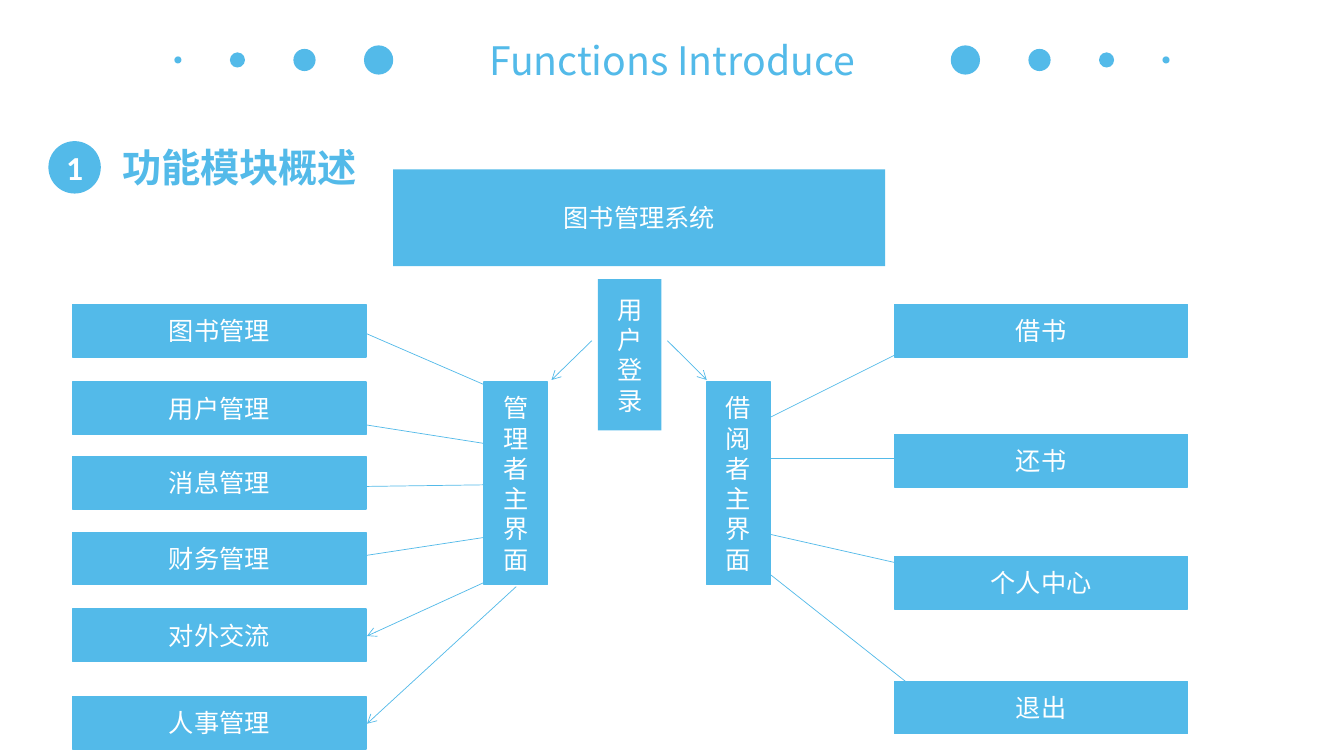
import pptx
import pptx.util
import pptx.dml.color
import pptx.enum.shapes
import pptx.enum.text
import pptx.oxml
import pptx.oxml.ns

Inches = pptx.util.Inches
Pt = pptx.util.Pt
MSO_SHAPE = pptx.enum.shapes.MSO_SHAPE

SKY = "53BAE9"
WHITE = "FFFFFF"
SANS = "Noto Sans CJK SC"
SLIDE_WIDTH = 13.33
BUTTON_SIZE = (2.91, 0.52)
PANEL_SIZE = (0.63, 2.01)

DOTS = [(3.755, 0.29), (3.02, 0.22), (2.355, 0.15), (1.765, 0.07)]
DOT_MIDDLE = 0.595

ADMIN_LEFT = 0.72
ADMIN_MENU = [
    ("图书管理", 3.02),
    ("用户管理", 3.79),
    ("消息管理", 4.53),
    ("财务管理", 5.28),
    ("对外交流", 6.04),
    ("人事管理", 6.91),
]
READER_LEFT = 8.87
READER_MENU = [("借书", 3.02), ("还书", 4.31), ("个人中心", 5.52), ("退出", 6.76)]

ARROWS = [
    ((5.87, 3.38), (5.47, 3.77)),
    ((6.62, 3.38), (7.01, 3.77)),
    ((4.88, 3.85), (3.45, 3.23)),
    ((4.87, 4.41), (3.47, 4.19)),
    ((4.8, 4.81), (3.32, 4.83)),
    ((4.88, 5.32), (3.5, 5.53)),
    ((4.93, 5.72), (3.64, 6.31)),
    ((5.12, 5.82), (3.64, 7.18)),
    ((7.6, 4.16), (9.16, 3.38)),
    ((7.44, 4.55), (9.38, 4.55)),
    ((7.59, 5.29), (9.8, 5.79)),
    ((7.59, 5.66), (9.36, 7.06)),
]


def rgb(value):
    return pptx.dml.color.RGBColor.from_string(value)


def lengths(*values):
    return [Inches(value) for value in values]


def write(owner, lines, size=18, color=WHITE, font=SANS, bold=False, wrap=True):
    frame = owner.text_frame
    frame.word_wrap = wrap
    frame.vertical_anchor = pptx.enum.text.MSO_ANCHOR.MIDDLE
    look = {"size": Pt(size), "name": font, "bold": bold}
    for index, line in enumerate(lines):
        paragraph = frame.add_paragraph() if index else frame.paragraphs[0]
        paragraph.alignment = pptx.enum.text.PP_ALIGN.CENTER
        run = paragraph.add_run()
        run.text = line
        for key, value in look.items():
            setattr(run.font, key, value)
        run.font.color.rgb = rgb(color)
        east_asian = pptx.oxml.ns.qn("a:ea")
        run._r.get_or_add_rPr().makeelement(east_asian)
        pptx.oxml.parse_xml
        latin = run._r.rPr.find(pptx.oxml.ns.qn("a:latin"))
        latin.addnext(latin.makeelement(east_asian, {"typeface": font}))


def add_block(shapes, kind, box, outlined=False):
    block = shapes.add_shape(kind, *lengths(*box))
    block.shadow.inherit = False
    block.fill.solid()
    block.fill.fore_color.rgb = rgb(SKY)
    if outlined:
        block.line.color.rgb = rgb(SKY)
        block.line.width = Pt(1)
    else:
        block.line.fill.background()
    return block


def add_dots(slide, mirrored):
    row = slide.shapes.add_group_shape()
    for center, size in DOTS:
        x = SLIDE_WIDTH - center if mirrored else center
        box = (x - size / 2, DOT_MIDDLE - size / 2, size, size)
        add_block(row.shapes, MSO_SHAPE.OVAL, box)


def add_label(slide, text, box, **look):
    label = slide.shapes.add_textbox(*lengths(*box))
    write(label, [text], size=28, color=SKY, wrap=False, **look)


def add_module(slide, lines, box, outlined=True):
    write(add_block(slide.shapes, MSO_SHAPE.RECTANGLE, box, outlined), lines)


def add_menu(slide, left, entries):
    for text, top in entries:
        add_module(slide, [text], (left, top, *BUTTON_SIZE))


def add_arrow(slide, start, end):
    arrow = slide.shapes.add_connector(
        pptx.enum.shapes.MSO_CONNECTOR.STRAIGHT, *lengths(*start, *end))
    arrow.line.color.rgb = rgb(SKY)
    arrow.line.width = Pt(0.5)
    outline = arrow.line._get_or_add_ln()
    outline.append(outline.makeelement(pptx.oxml.ns.qn("a:tailEnd"), {"type": "arrow"}))
    outline.addnext(outline.makeelement(pptx.oxml.ns.qn("a:effectLst")))


def main():
    deck = pptx.Presentation()
    deck.slide_width, deck.slide_height = lengths(SLIDE_WIDTH, 7.5)
    slide = deck.slides.add_slide(deck.slide_layouts[6])

    add_label(slide, "功能模块概述", (1.1, 1.31, 2.55, 0.7), bold=True)
    badge = add_block(slide.shapes, MSO_SHAPE.OVAL, (0.48, 1.4, 0.52, 0.52))
    write(badge, ["1"], size=24, font="Calibri", bold=True)
    for mirrored in (False, True):
        add_dots(slide, mirrored)
    add_label(slide, "Functions Introduce", (4.71, 0.29, 3.91, 0.6))

    add_module(slide, ["图书管理系统"], (3.9, 1.68, 4.88, 0.96), outlined=False)
    add_module(slide, ["用户登录"], (5.93, 2.77, 0.63, 1.5), outlined=False)
    for role, left in (("借阅者", 7.01), ("管理者", 4.8)):
        add_module(slide, [role, "主", "界面"], (left, 3.79, *PANEL_SIZE))
    add_menu(slide, READER_LEFT, READER_MENU)
    for start, end in ARROWS:
        add_arrow(slide, start, end)
    add_menu(slide, ADMIN_LEFT, ADMIN_MENU)

    deck.save("out.pptx")


if __name__ == "__main__":
    main()
